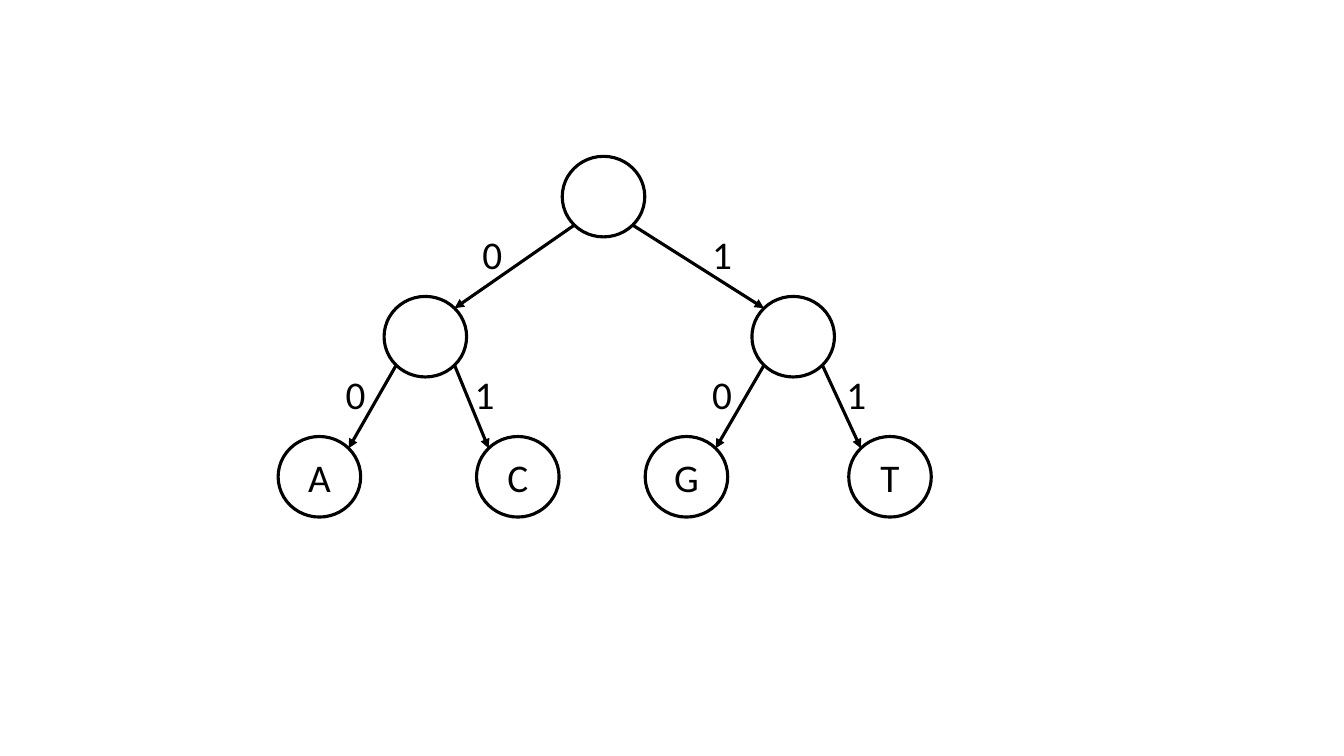
"""Draw a binary code tree with the leaves A, C, G and T."""
from math import sqrt
from typing import NamedTuple

from lxml.etree import SubElement
from pptx import Presentation
from pptx.dml.color import RGBColor
from pptx.enum.shapes import MSO_CONNECTOR as Link, MSO_SHAPE as Form
from pptx.enum.text import MSO_ANCHOR as Anchor, MSO_AUTO_SIZE as Fit, PP_ALIGN as Align
from pptx.oxml.ns import qn
from pptx.shapes.shapetree import SlideShapes as Shapes
from pptx.text.text import TextFrame
from pptx.util import Cm, Pt

INK = "000000"
FONT = "Calibri"
WIDE, HIGH = 2.08, 2.03
TOP, STEP = 3.94, 3.53
INSET = (1 - 1 / sqrt(2)) / 2
DX, DY = WIDE * INSET, HIGH * INSET


class Node(NamedTuple):
    left: float
    row: int
    text: str = ""

    @property
    def top(self) -> float:
        return TOP + self.row * STEP


class Edge(NamedTuple):
    start: str
    end: str
    bit: str
    left: float


NODES = {
    "root": Node(14.17, 0),
    "low": Node(9.68, 1),
    "high": Node(18.95, 1),
    "A": Node(7.01, 2, "A"),
    "C": Node(12.01, 2, "C"),
    "G": Node(16.26, 2, "G"),
    "T": Node(21.39, 2, "T"),
}
EDGES = [
    Edge("root", "low", "0", 11.91),
    Edge("root", "high", "1", 17.7),
    Edge("low", "A", "0", 8.46),
    Edge("low", "C", "1", 11.71),
    Edge("high", "G", "0", 17.7),
    Edge("high", "T", "1", 21.08),
]


def color(code: str) -> RGBColor:
    """Turn a hex string into a colour."""
    return RGBColor.from_string(code)


def write(frame: TextFrame, text: str, align: Align) -> None:
    """Fill a frame with one styled line of text."""
    frame.text = text
    line = frame.paragraphs[0]
    line.alignment = align
    for run in line.runs:
        run.font.name = FONT
        run.font.size = Pt(28)
        run.font.color.rgb = color(INK)


def draw_node(shapes: Shapes, node: Node) -> None:
    """Draw a circle, with its letter if it is a leaf."""
    oval = shapes.add_shape(Form.OVAL, Cm(node.left), Cm(node.top), Cm(WIDE), Cm(HIGH))
    oval.shadow.inherit = False
    oval.fill.background()
    oval.line.color.rgb = color(INK)
    oval.line.width = Pt(2.25)
    if node.text:
        oval.text_frame.vertical_anchor = Anchor.MIDDLE
        write(oval.text_frame, node.text, Align.CENTER)


def draw_edge(shapes: Shapes, edge: Edge) -> None:
    """Draw an arrow from parent to child and its bit."""
    start, end = NODES[edge.start], NODES[edge.end]
    near, far = (DX, WIDE - DX) if edge.bit == "0" else (WIDE - DX, DX)
    base = start.top + HIGH - DY
    arrow = shapes.add_connector(
        Link.STRAIGHT, Cm(start.left + near), Cm(base), Cm(end.left + far), Cm(end.top + DY)
    )
    arrow.line.color.rgb = color(INK)
    arrow.line.width = Pt(2.25)
    SubElement(arrow.line._get_or_add_ln(), qn("a:tailEnd"), type="triangle")
    SubElement(arrow._element.spPr, qn("a:effectLst"))
    box = shapes.add_textbox(Cm(edge.left), Cm(base), Cm(0.89), Cm(1.45))
    box.text_frame.word_wrap = True
    box.text_frame.auto_size = Fit.SHAPE_TO_FIT_TEXT
    write(box.text_frame, edge.bit, Align.LEFT)


def main() -> None:
    """Build and save the slide."""
    deck = Presentation()
    deck.slide_width, deck.slide_height = Cm(33.87), Cm(19.05)
    shapes = deck.slides.add_slide(deck.slide_layouts[6]).shapes
    for node in NODES.values():
        draw_node(shapes, node)
    for edge in EDGES:
        draw_edge(shapes, edge)
    deck.save("out.pptx")


main()
